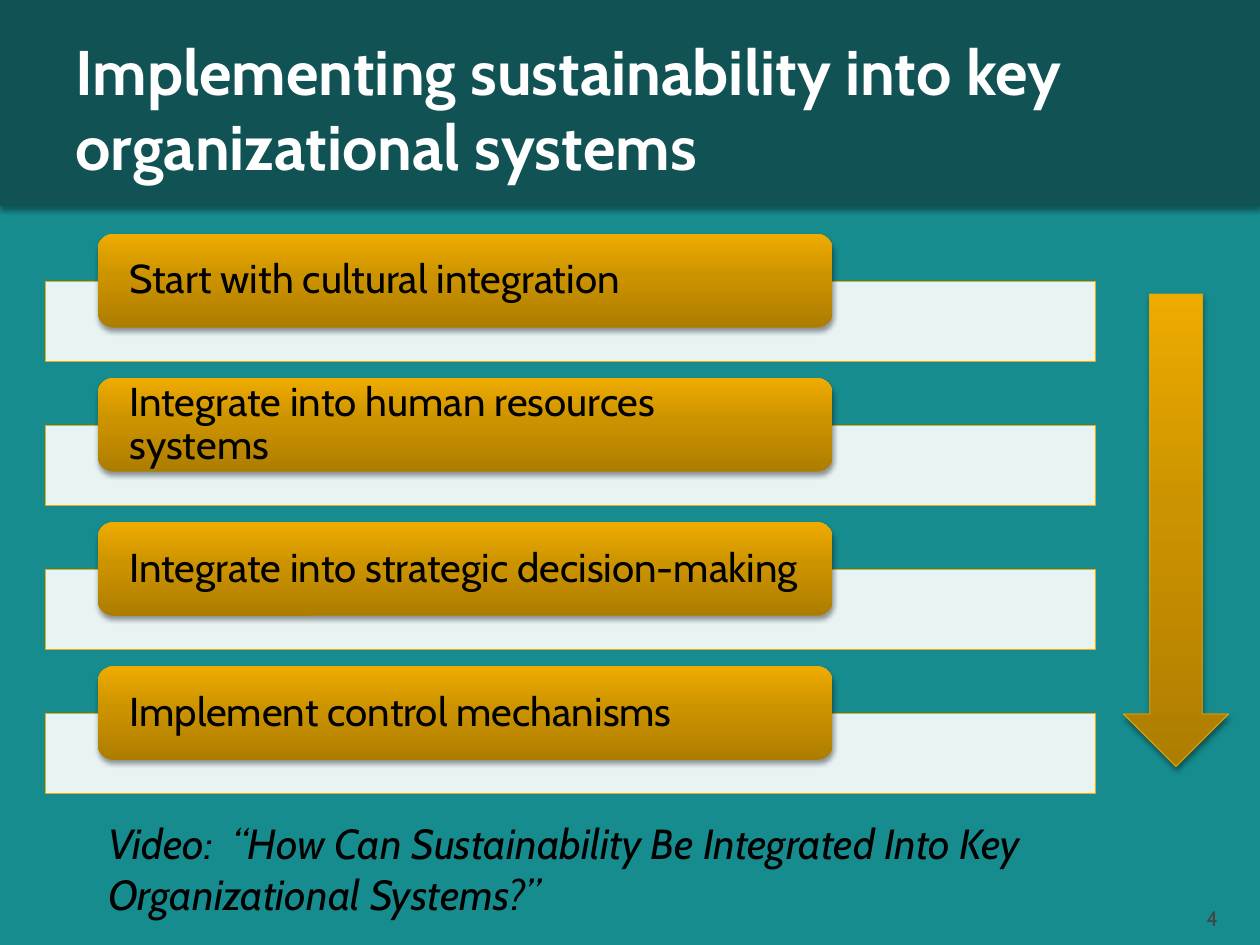
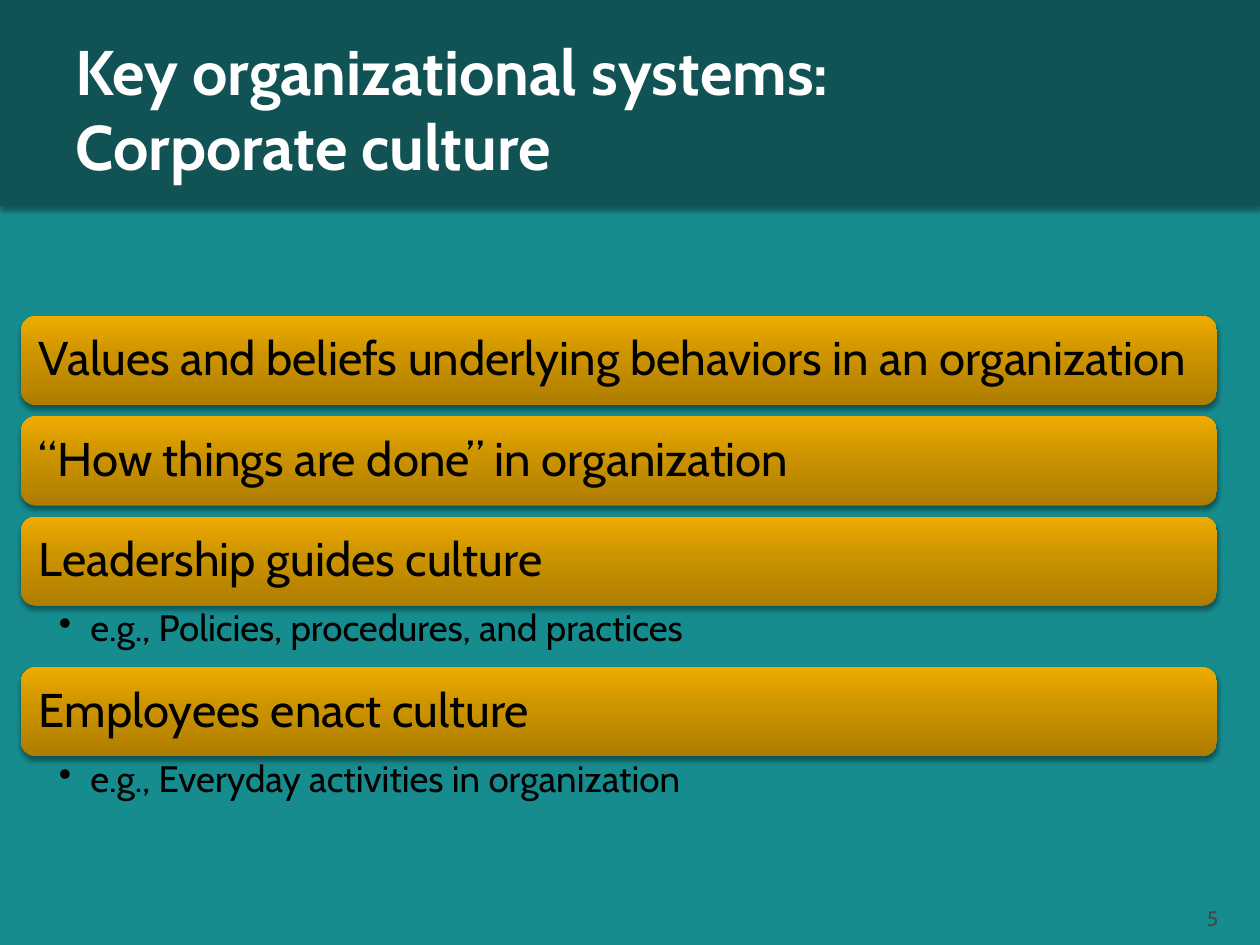
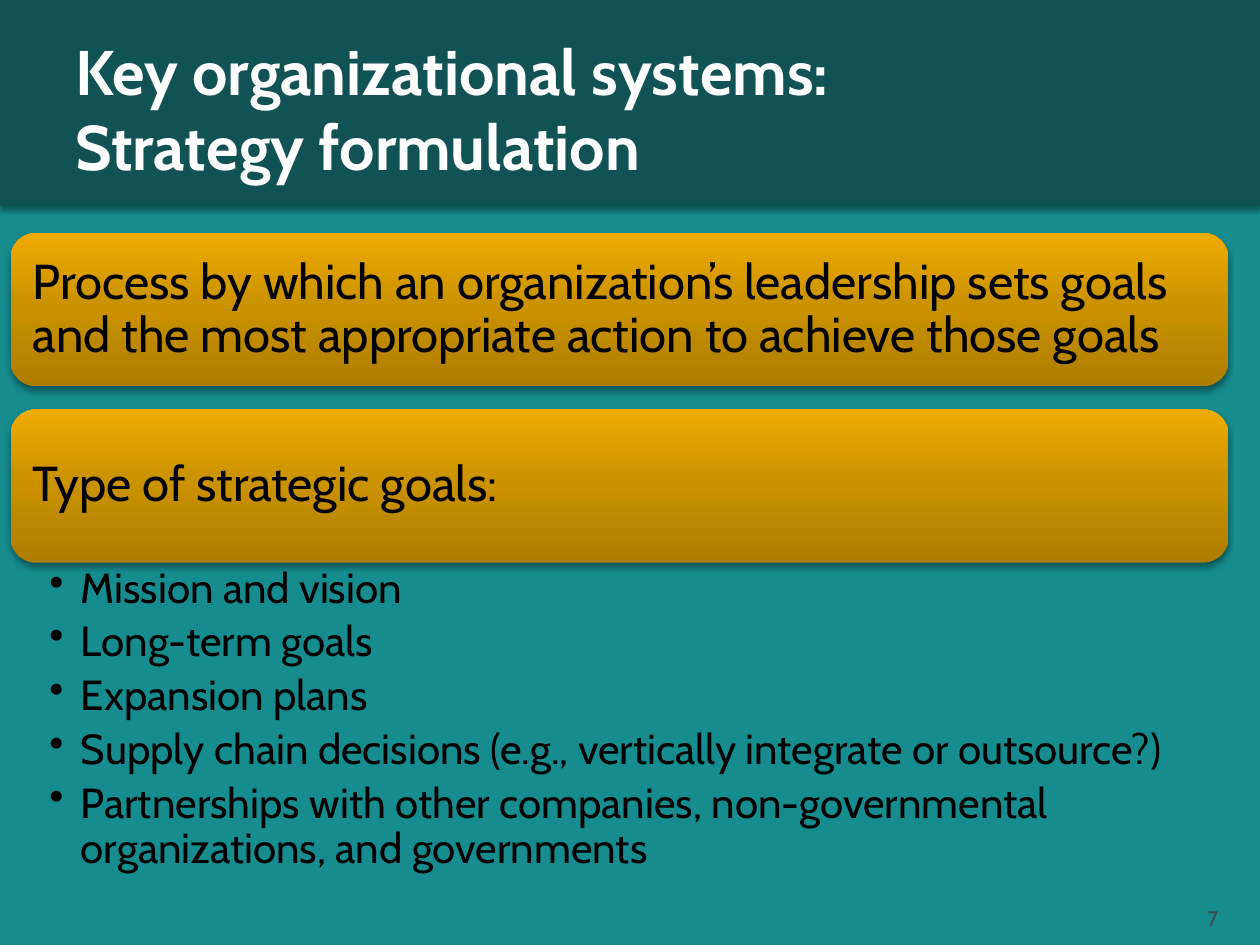
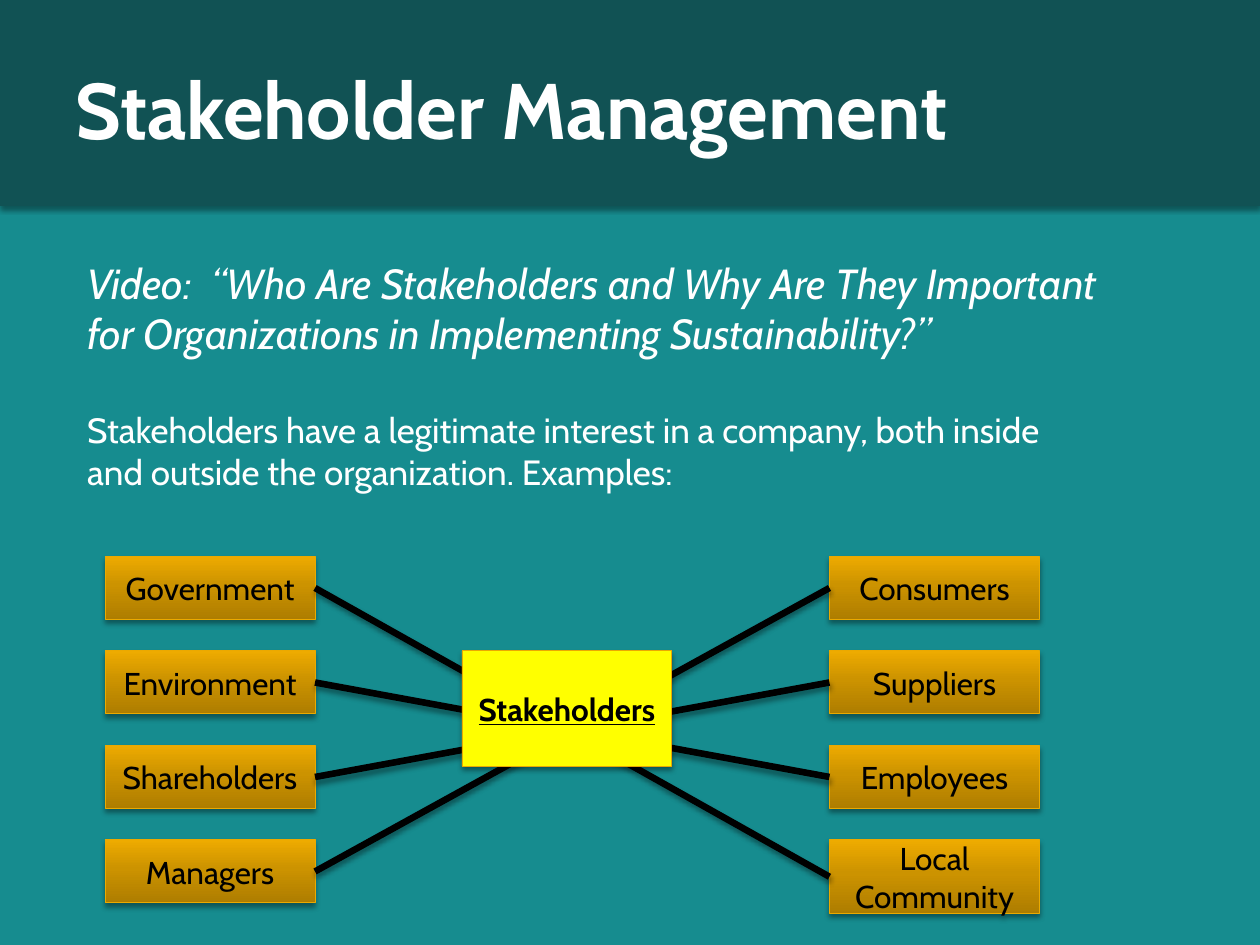
from lxml import etree
from pptx import Presentation
from pptx.dml.color import RGBColor
from pptx.enum.shapes import MSO_CONNECTOR, MSO_SHAPE
from pptx.enum.text import MSO_ANCHOR, PP_ALIGN
from pptx.oxml.ns import qn
from pptx.util import Inches, Pt

RECT, ROUND = MSO_SHAPE.RECTANGLE, MSO_SHAPE.ROUNDED_RECTANGLE
ARROW, LINE = MSO_SHAPE.DOWN_ARROW, MSO_CONNECTOR.STRAIGHT
TOP, MID, LOW = MSO_ANCHOR.TOP, MSO_ANCHOR.MIDDLE, MSO_ANCHOR.BOTTOM
LEFT, MEET, RIGHT = PP_ALIGN.LEFT, PP_ALIGN.CENTER, PP_ALIGN.RIGHT

COLS, ROWS = 120, 90
WIDE, HIGH = Inches(10), Inches(7.5)
UNIT = WIDE // COLS
FONT = "Cabin"
TEAL, DARK, WHITE, BLACK = "168C8F", "115254", "FFFFFF", "000000"
GREY, YELLOW, EDGE, RIM = "454545", "FFFF00", "EBA900", "F0AD00"
GOLD = ((0, "AE7D00"), (55, "CC9300"), (100, "EEAB00"))
LOOSE = (1.2, 0.6, 1.2, 0.6)


def color(code):
    """Turn a hex string into a colour."""
    return RGBColor.from_string(code)


def grid(*spans):
    """Turn grid units into lengths."""
    return [int(span * UNIT) for span in spans]


def node(parent, tag, **attrs):
    """Append a drawing element and return it."""
    return etree.SubElement(parent, qn("a:" + tag), {k: str(v) for k, v in attrs.items()})


def tint(parent, code, alpha=100):
    """Append a colour element, see-through below 100."""
    item = node(parent, "srgbClr", val=code)
    if alpha < 100:
        node(item, "alpha", val=alpha * 1000)


def shade(effects):
    """Append the soft shadow that falls below raised parts."""
    drop = node(effects, "outerShdw", blurRad=Pt(3.1), dist=Pt(2), dir=5400000, rotWithShape=0)
    tint(drop, BLACK, 38)


def paint(shape, fill):
    """Fill with one colour, or with stops rising from the bottom."""
    if isinstance(fill, str):
        shape.fill.solid()
        shape.fill.fore_color.rgb = color(fill)
        return
    shape.fill.gradient()
    shape.fill.gradient_angle = 90
    stops = shape._element.spPr.find(".//" + qn("a:gsLst"))
    stops.clear()
    for place, code in fill:
        tint(node(stops, "gs", pos=place * 1000), code)


def block(slide, kind, box, fill, edge=None, raised=True):
    """Draw a preset shape with fill, edge and shadow."""
    shape = slide.shapes.add_shape(kind, *grid(*box))
    paint(shape, fill)
    if edge:
        shape.line.color.rgb = color(edge)
        shape.line.width = Pt(0.5)
    else:
        shape.line.fill.background()
    shape.shadow.inherit = False
    if raised:
        shade(shape._element.spPr.find(qn("a:effectLst")))
    return shape


def style(para, size, code=BLACK, bold=False, italic=False, under=False):
    """Set the font of a paragraph."""
    font = para.font
    font.name, font.size = FONT, Pt(size)
    font.bold, font.italic, font.underline = bold, italic, under
    font.color.rgb = color(code)


def write(shape, lines, size, pads=LOOSE, anchor=MID, align=LEFT, tight=False, dots=False, **look):
    """Write paragraphs into a shape, with bullets if asked."""
    frame = shape.text_frame
    frame.word_wrap, frame.vertical_anchor = True, anchor
    (frame.margin_left, frame.margin_top,
     frame.margin_right, frame.margin_bottom) = grid(*pads)
    for i, line in enumerate(lines):
        para = frame.paragraphs[0] if i == 0 else frame.add_paragraph()
        para.text, para.alignment = line, align
        if tight:
            para.line_spacing = 0.9
        if dots:
            para.space_after = Pt(size * 0.2)
            props = para._p.get_or_add_pPr()
            props.set("marL", str(3 * UNIT))
            props.set("indent", str(-3 * UNIT))
            node(props, "buChar", char="•")
        style(para, size, **look)
    return frame


def label(slide, box, lines, size, **look):
    """Place a text box."""
    return write(slide.shapes.add_textbox(*grid(*box)), lines, size, **look)


def page(deck, title, number=None, size=36):
    """Add a slide with its band, title and page number."""
    slide = deck.slides.add_slide(deck.slide_layouts[6])
    slide.background.fill.solid()
    slide.background.fill.fore_color.rgb = color(TEAL)
    block(slide, RECT, (0, 0, COLS, 19.6), DARK)
    label(slide, (6, 2, 110, 16.5), [title], size, pads=(1.2, 0.6, 0.6, 0.6),
          code=WHITE, bold=True)
    if number:
        label(slide, (107.6, 85, 9.6, 3.6), [str(number)], 12,
              pads=(1.2, 0.6, 1.2, 0), anchor=LOW, align=RIGHT, code=GREY)
    return slide


def steps(slide, box, names):
    """Stack white bars, each with a gold tab across its top."""
    left, top, width, height = box
    pitch = height / len(names)
    for i, name in enumerate(names):
        row = top + i * pitch
        bar = block(slide, RECT, (left, row + 4.5, width, 7.6), WHITE, RIM, False)
        hue = bar._element.spPr.find(".//" + qn("a:srgbClr"))
        node(hue, "alpha", val=90000)
        tab = block(slide, ROUND, (left + width * 0.05, row, width * 0.7, 8.9), GOLD)
        write(tab, [name], 23, pads=(2.6, 0, 2.6, 0), tight=True)


def stack(slide, box, items, tall, gap, pad, sizes, inset, drop):
    """Stack gold heads, each with the bullets that follow it."""
    left, top, width = box
    for name, notes in items:
        head = block(slide, ROUND, (left, top, width, tall), GOLD)
        write(head, [name], sizes[0], pads=(pad,) * 4, tight=True)
        top += tall
        if notes:
            label(slide, (left, top, width, drop), notes, sizes[1],
                  pads=(inset, 0.4, 2.4, 0.4), anchor=TOP, tight=True, dots=True)
        top += drop if notes else gap


def side(slide, left, top, names):
    """Draw a column of equal boxes and return them."""
    boxes = []
    for i, name in enumerate(names):
        tall = 7 if " " in name else 6
        shape = block(slide, RECT, (left, top + i * 9, 20, tall), GOLD, EDGE)
        write(shape, [name], 18, align=MEET)
        boxes.append(shape)
    return boxes


def hub(slide, box, center, west, east):
    """Join two columns by lines that cross behind a center box."""
    left, top, width = box
    ones = side(slide, left, top, west)
    twos = side(slide, left + width - 20, top, east)
    for one, two in zip(ones, reversed(twos)):
        link = slide.shapes.add_connector(LINE, 0, 0, 0, 0)
        link.begin_connect(one, 3)
        link.end_connect(two, 1)
        link.line.color.rgb = color(BLACK)
        link.line.width = Pt(3.78)
        shade(node(link._element.spPr, "effectLst"))
    core = block(slide, RECT, (left + 34, top + 9, 20, 11), YELLOW, EDGE)
    write(core, [center], 18, align=MEET, bold=True, under=True)


def main():
    """Build the four slides."""
    deck = Presentation()
    deck.slide_width, deck.slide_height = WIDE, HIGH

    slide = page(deck, "Implementing sustainability into key organizational systems", 4)
    steps(slide, (4.3, 22.3, 100, 54.9),
          ["Start with cultural integration", "Integrate into human resources systems",
           "Integrate into strategic decision-making", "Implement control mechanisms"])
    block(slide, ARROW, (107, 28, 10, 45), GOLD, EDGE)
    label(slide, (8, 76.7, 108, 13),
          ["Video:  “How Can Sustainability Be Integrated Into Key Organizational Systems?”"],
          24, pads=(2.3, 1.2, 1.2, 0.6), anchor=TOP, italic=True)

    slide = page(deck, "Key organizational systems:\nCorporate culture", 5)
    stack(slide, (2, 30.1, 113.9),
          [("Values and beliefs underlying behaviors in an organization", []),
           ("“How things are done” in organization", []),
           ("Leadership guides culture", ["e.g., Policies, procedures, and practices"]),
           ("Employees enact culture", ["e.g., Everyday activities in organization"])],
          tall=8.5, gap=1.05, pad=1.3, sizes=(27, 21), inset=3.6, drop=5.85)

    slide = page(deck, "Key organizational systems:\nStrategy formulation", 7)
    stack(slide, (1, 22.2, 116),
          [("Process by which an organization’s leadership sets goals "
            "and the most appropriate action to achieve those goals", []),
           ("Type of strategic goals:",
            ["Mission and vision", "Long-term goals", "Expansion plans",
             "Supply chain decisions (e.g., vertically integrate or outsource?)",
             "Partnerships with other companies, non-governmental organizations, "
             "and governments"])],
          tall=14.6, gap=2.2, pad=1.4, sizes=(28, 24), inset=3.7, drop=31.2)

    slide = page(deck, "Stakeholder Management", size=45)
    frame = label(slide, (6, 23.3, 100, 27.7),
                  ["Video:  “Who Are Stakeholders and Why Are They Important for "
                   "Organizations in Implementing Sustainability?”",
                   "Stakeholders have a legitimate interest in a company, both inside "
                   "and outside the organization. Examples:"],
                  24, pads=(2.3, 1.2, 1.2, 0.6), anchor=TOP, code=WHITE, italic=True)
    last = frame.paragraphs[1]
    last.space_before = Pt(29)
    style(last, 20, WHITE)
    hub(slide, (10, 53, 89), "Stakeholders",
        ["Government", "Environment", "Shareholders", "Managers"],
        ["Consumers", "Suppliers", "Employees", "Local Community"])

    deck.save("out.pptx")


if __name__ == "__main__":
    main()
